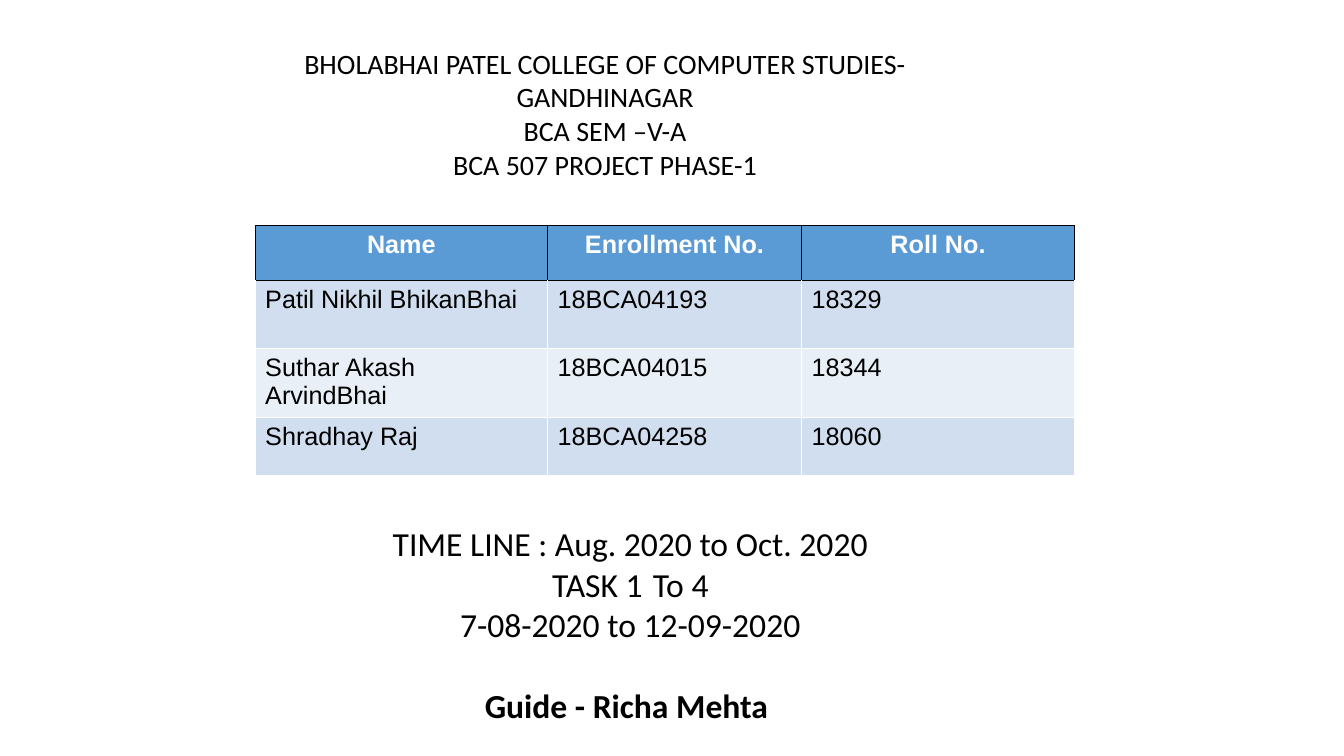
import pptx
import pptx.util
import pptx.dml.color
import pptx.enum.text
import pptx.oxml
import pptx.oxml.ns
from pptx.util import Cm

BLACK, WHITE = "000000", "FFFFFF"
HEADER_FILL, BAND_FILLS = "5B9BD5", ("D0DEEF", "E9EFF7")
COLUMN_WIDTHS = (7.37, 6.4, 6.88)
ROW_HEIGHTS = (1.37, 1.73, 1.73, 1.47)
STUDENTS = (
    ("Name", "Enrollment No.", "Roll No."),
    ("Patil Nikhil BhikanBhai", "18BCA04193", "18329"),
    ("Suthar Akash ArvindBhai", "18BCA04015", "18344"),
    ("Shradhay Raj", "18BCA04258", "18060"),
)
COLLEGE = (
    "BHOLABHAI PATEL COLLEGE OF COMPUTER STUDIES-GANDHINAGAR",
    "BCA SEM –V-A",
    "BCA 507 PROJECT PHASE-1",
)
TIMELINE = (
    "TIME LINE : Aug. 2020 to Oct. 2020",
    "TASK 1\tTo 4",
    "7-08-2020 to 12-09-2020",
    "Guide - Richa Mehta ",
)


def rgb(value):
    return pptx.dml.color.RGBColor.from_string(value)


def set_font(p, name, size, color, bold=False):
    p.font.name = name
    p.font.size = pptx.util.Pt(size)
    p.font.color.rgb = rgb(color)
    p.font.bold = bold


def add_centered_lines(slide, lines, size, left, top, width, height):
    tf = slide.shapes.add_textbox(Cm(left), Cm(top), Cm(width), Cm(height)).text_frame
    tf.word_wrap = True
    for i, line in enumerate(lines):
        p = tf.paragraphs[0] if i == 0 else tf.add_paragraph()
        p.add_run().text = line
        p.alignment = pptx.enum.text.PP_ALIGN.CENTER
        set_font(p, "Calibri", size, BLACK)
    return tf


def set_borders(cell, **colors):
    tcPr = cell._tc.get_or_add_tcPr()
    for side in "LRTB":
        tcPr.append(pptx.oxml.parse_xml(
            f'<a:ln{side} {pptx.oxml.ns.nsdecls("a")} w="12700"><a:solidFill>'
            f'<a:srgbClr val="{colors[side]}"/></a:solidFill></a:ln{side}>'))


def add_student_table(slide, left, top):
    table = slide.shapes.add_table(
        len(STUDENTS), len(COLUMN_WIDTHS), Cm(left), Cm(top),
        Cm(sum(COLUMN_WIDTHS)), Cm(sum(ROW_HEIGHTS))).table
    table.first_row = table.horz_banding = False
    for column, width in zip(table.columns, COLUMN_WIDTHS):
        column.width = Cm(width)
    for r, (row, height, values) in enumerate(zip(table.rows, ROW_HEIGHTS, STUDENTS)):
        row.height = Cm(height)
        header = r == 0
        line = BLACK if header else WHITE
        for cell, value in zip(row.cells, values):
            set_borders(cell, L=line, R=line, T=BLACK if r < 2 else WHITE, B=line)
            cell.fill.solid()
            cell.fill.fore_color.rgb = rgb(HEADER_FILL if header else BAND_FILLS[(r - 1) % 2])
            p = cell.text_frame.paragraphs[0]
            p.add_run().text = value
            if header:
                p.alignment = pptx.enum.text.PP_ALIGN.CENTER
            set_font(p, "Arial", 18, "FEFEFE" if header else BLACK, header)


def add_timeline(slide, left, top, width, height):
    tf = add_centered_lines(slide, TIMELINE, 24, left, top, width, height)
    guide = tf.paragraphs[-1]
    guide.font.bold = True
    guide.space_before = pptx.util.Pt(29)


def main():
    prs = pptx.Presentation()
    prs.slide_width, prs.slide_height = Cm(33.87), Cm(19.05)
    slide = prs.slides.add_slide(prs.slide_layouts[6])
    add_student_table(slide, 6.43, 5.69)
    add_timeline(slide, 9.6, 13.06, 12.57, 6.4)
    add_centered_lines(slide, COLLEGE, 20, 6.78, 1.04, 16.94, 3.68)
    prs.save("out.pptx")


if __name__ == "__main__":
    main()
